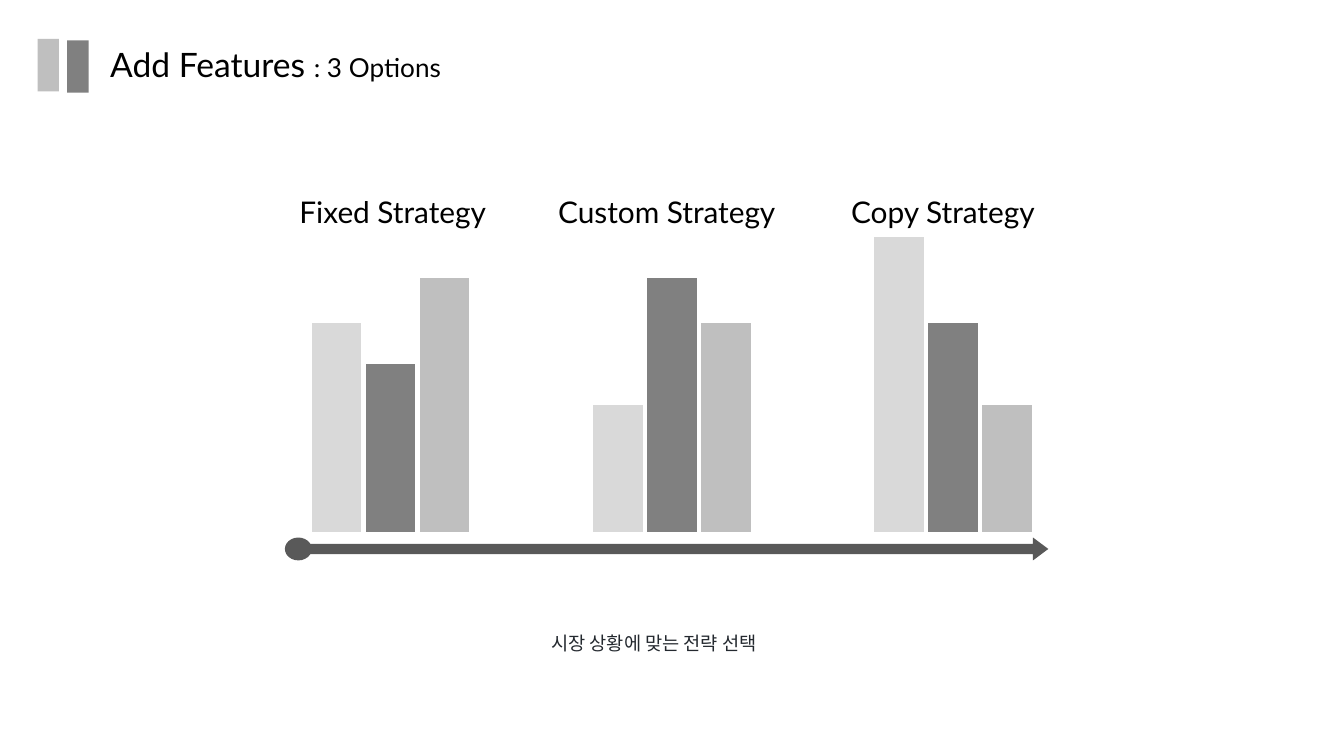
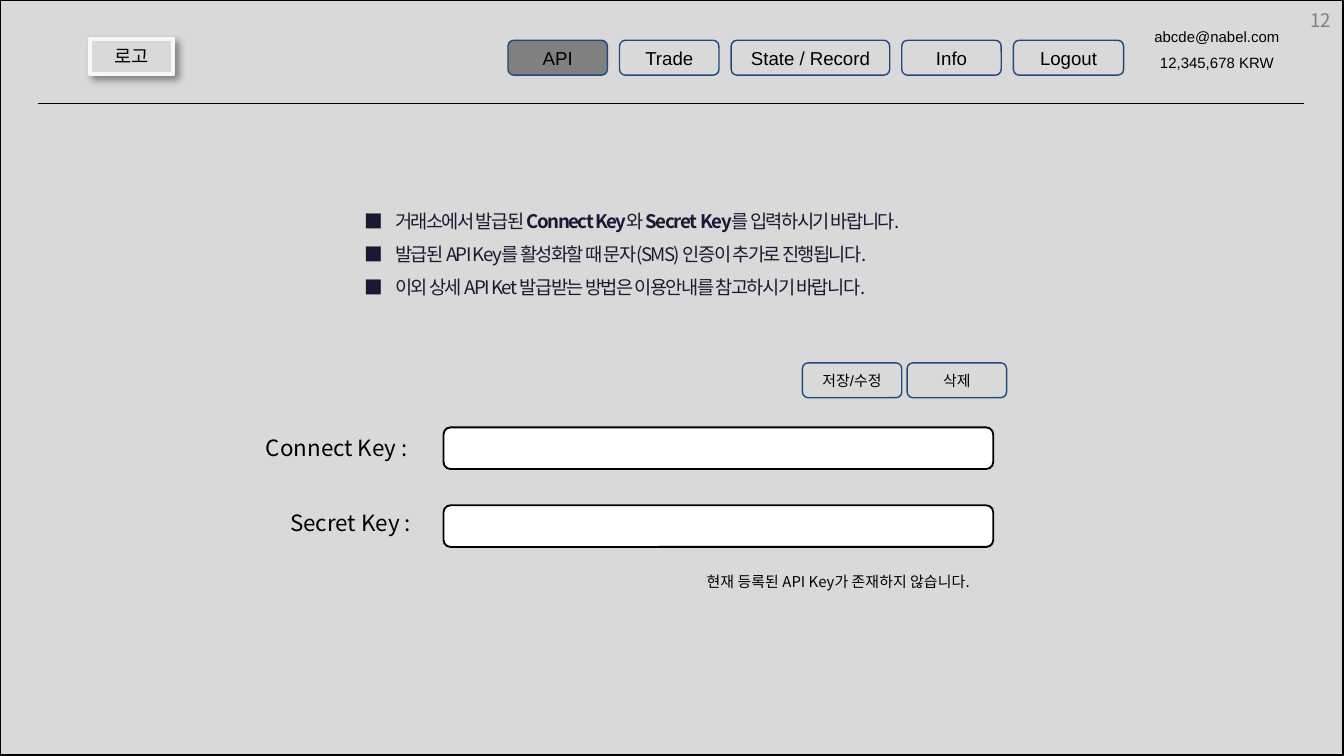
import pptx
import pptx.chart.data
import pptx.dml.color
import pptx.enum.chart
import pptx.enum.shapes
import pptx.enum.text
import pptx.oxml
import pptx.oxml.ns
import pptx.util
from lxml import etree

Inches = pptx.util.Inches
Pt = pptx.util.Pt
RGBColor = pptx.dml.color.RGBColor
SHAPE = pptx.enum.shapes.MSO_SHAPE
ALIGN = pptx.enum.text.PP_ALIGN
ANCHOR = pptx.enum.text.MSO_ANCHOR
AUTO_SIZE = pptx.enum.text.MSO_AUTO_SIZE
qn = pptx.oxml.ns.qn

BLACK = RGBColor(0x00, 0x00, 0x00)
WHITE = RGBColor(0xFF, 0xFF, 0xFF)
LIGHT = RGBColor(0xD9, 0xD9, 0xD9)
SILVER = RGBColor(0xBF, 0xBF, 0xBF)
GRAY = RGBColor(0x80, 0x80, 0x80)
CHARCOAL = RGBColor(0x59, 0x59, 0x59)
INK = RGBColor(0x24, 0x29, 0x2F)
NOTICE = RGBColor(0x19, 0x19, 0x33)
NAVY = RGBColor(0x1F, 0x49, 0x7D)
IVORY = RGBColor(0xF8, 0xF7, 0xF3)

LATO = "Lato"
ARIAL = "Arial"
KOREAN = "Noto Sans CJK KR"
SLIDE_WIDTH = 10
SLIDE_HEIGHT = SLIDE_WIDTH * 9 / 16


def place(shape, left, top, width, height):
    shape.left, shape.top = Inches(left), Inches(top)
    shape.width, shape.height = Inches(width), Inches(height)


def format_run(run, size, font, color, bold=None):
    run.font.size = Pt(size)
    run.font.name = font
    run.font.color.rgb = color
    run.font.bold = bold
    properties = run._r.get_or_add_rPr()
    properties.set("kern", "0")
    etree.SubElement(properties, qn("a:ea")).set("typeface", KOREAN)


def write(shape, text, size, font, color=BLACK, align=ALIGN.LEFT, spacing=None):
    shape.text_frame.text = text
    for paragraph in shape.text_frame.paragraphs:
        paragraph.alignment = align
        paragraph.line_spacing = spacing
        for run in paragraph.runs:
            format_run(run, size, font, color)


def add_text(slide, box, text, size, font, color=BLACK, align=ALIGN.LEFT, wrap=True):
    shape = slide.shapes.add_textbox(*map(Inches, box))
    shape.text_frame.word_wrap = wrap
    shape.text_frame.auto_size = AUTO_SIZE.SHAPE_TO_FIT_TEXT
    write(shape, text, size, font, color, align)
    return shape


def add_block(shapes, kind, box, fill, line=None, line_width=0.75):
    shape = shapes.add_shape(kind, *map(Inches, box))
    shape.shadow.inherit = False
    shape.fill.solid()
    shape.fill.fore_color.rgb = fill
    if line is None:
        shape.line.fill.background()
    else:
        shape.line.color.rgb = line
        shape.line.width = Pt(line_width)
    return shape


def add_label_block(slide, box, text, size, fill=LIGHT, line=NAVY, spacing=None):
    shape = add_block(slide.shapes, SHAPE.ROUNDED_RECTANGLE, box, fill, line)
    frame = shape.text_frame
    frame.margin_left = frame.margin_right = Inches(0.1)
    frame.margin_top = frame.margin_bottom = Inches(0.1)
    frame.vertical_anchor = ANCHOR.MIDDLE
    write(shape, text, size, ARIAL, align=ALIGN.CENTER, spacing=spacing)
    return shape


def add_heading(slide, left, top):
    add_block(slide.shapes, SHAPE.RECTANGLE, (left, top, 0.16, 0.39), SILVER)
    add_block(slide.shapes, SHAPE.RECTANGLE, (left + 0.22, top + 0.01, 0.16, 0.39), GRAY)
    title = slide.shapes.title
    place(title, left + 0.44, top - 0.01, 5, 0.4)
    frame = title.text_frame
    frame.vertical_anchor = ANCHOR.TOP
    frame.auto_size = AUTO_SIZE.SHAPE_TO_FIT_TEXT
    paragraph = frame.paragraphs[0]
    paragraph.alignment = ALIGN.LEFT
    for text, size in (("Add Features ", 18), (": 3 Options", 14)):
        run = paragraph.add_run()
        run.text = text
        format_run(run, size, LATO, BLACK)


def set_plot_area(chart, x, y, width, height):
    plot_area = chart._chartSpace.chart.plotArea
    for old_layout in plot_area.findall(qn("c:layout")):
        plot_area.remove(old_layout)
    layout = etree.Element(qn("c:layout"))
    manual = etree.SubElement(layout, qn("c:manualLayout"))
    settings = (("layoutTarget", "inner"), ("xMode", "edge"), ("yMode", "edge"),
                ("x", x), ("y", y), ("w", width), ("h", height))
    for name, value in settings:
        etree.SubElement(manual, qn("c:" + name)).set("val", str(value))
    plot_area.insert(0, layout)


def add_strategy_chart(slide, left, top):
    data = pptx.chart.data.CategoryChartData()
    data.categories = ["1", "2", "3"]
    data.add_series("Series 1", (71, 43, 100))
    data.add_series("Series 2", (57, 86, 71))
    data.add_series("Series 3", (86, 71, 43))
    frame = slide.shapes.add_chart(
        pptx.enum.chart.XL_CHART_TYPE.COLUMN_CLUSTERED,
        Inches(left), Inches(top), Inches(6.54), Inches(2.61), data)
    chart = frame.chart
    chart.has_legend = False
    chart.has_title = False
    chart.font.size = Pt(10)
    chart.font.name = KOREAN
    chart.font.color.rgb = BLACK
    chart.value_axis.has_major_gridlines = False
    chart.value_axis.minimum_scale = 0
    chart.value_axis.maximum_scale = 100
    chart.value_axis.visible = False
    chart.category_axis.visible = False
    plot = chart.plots[0]
    plot.gap_width = 250
    plot.overlap = -9
    plot.vary_by_categories = False
    for series, color in zip(plot.series, (LIGHT, GRAY, SILVER)):
        series.format.fill.solid()
        series.format.fill.fore_color.rgb = color
    set_plot_area(chart, 0.02, 0.14, 0.96, 0.84)


def add_timeline(slide, left, top):
    group = slide.shapes.add_group_shape()
    arrow = add_block(group.shapes, SHAPE.RIGHT_ARROW, (left + 0.13, top, 5.55, 0.17), CHARCOAL)
    arrow.adjustments[0] = 0.45
    arrow.adjustments[1] = 0.67
    add_block(group.shapes, SHAPE.OVAL, (left, top, 0.2, 0.17), CHARCOAL)


def build_strategy_slide(presentation):
    slide = presentation.slides.add_slide(presentation.slide_layouts[5])
    add_strategy_chart(slide, 1.73, 1.4)
    add_timeline(slide, 2.12, 4)
    add_heading(slide, 0.28, 0.29)
    strategies = (("Fixed Strategy", 1.64), ("Custom Strategy", 1.89), ("Copy Strategy", 1.63))
    for index, (name, width) in enumerate(strategies):
        center = 2.95 + 2.05 * index
        add_text(slide, (center - width / 2, 1.39, width, 0.37), name, 16, LATO, wrap=False)
    add_text(slide, (2.72, 4.65, 4.29, 0.27), "시장 상황에 맞는 전략 선택",
             10, KOREAN, INK, ALIGN.CENTER)


def add_logo_box(slide, left, top):
    logo = add_block(slide.shapes, SHAPE.RECTANGLE, (left, top, 0.62, 0.26), LIGHT, IVORY, 2)
    logo.text_frame.vertical_anchor = ANCHOR.MIDDLE
    write(logo, "로고", 10, KOREAN, align=ALIGN.CENTER)
    effects = logo._element.spPr.find(qn("a:effectLst"))
    shadow = etree.SubElement(effects, qn("a:outerShdw"), blurRad=str(Pt(4)),
                              dist=str(Pt(3)), dir="2700000", algn="tl", rotWithShape="0")
    color = etree.SubElement(shadow, qn("a:srgbClr"), val=str(BLACK))
    etree.SubElement(color, qn("a:alpha"), val="40000")


def add_navigation(slide, left, top, active):
    items = (("API", 0.74), ("Trade", 0.74), ("State / Record", 1.18), ("Info", 0.74), ("Logout", 0.82))
    for name, width in items:
        fill = GRAY if name == active else LIGHT
        add_label_block(slide, (left, top, width, 0.26), name, 10, fill)
        left += width + 0.09


def add_header(slide, left, top):
    add_logo_box(slide, left + 0.39, top)
    add_navigation(slide, left + 3.5, top + 0.01, "API")
    add_label_block(slide, (left + 8.13, top - 0.23, 1.29, 0.55),
                    "abcde@nabel.com\n12,345,678 KRW", 8, line=None, spacing=1.5)
    rule = slide.shapes.add_connector(
        pptx.enum.shapes.MSO_CONNECTOR.STRAIGHT,
        Inches(left), Inches(top + 0.48), Inches(left + 9.42), Inches(top + 0.48))
    rule.line.color.rgb = BLACK
    rule.line.width = Pt(0.75)
    etree.SubElement(rule._element.spPr, qn("a:effectLst"))


def set_square_bullet(paragraph, indent):
    properties = paragraph._p.get_or_add_pPr()
    properties.set("marL", str(Inches(indent)))
    properties.set("indent", str(-Inches(indent)))
    color = etree.SubElement(properties, qn("a:buClr"))
    etree.SubElement(color, qn("a:srgbClr"), val=str(NOTICE))
    etree.SubElement(properties, qn("a:buFont"), typeface=KOREAN)
    etree.SubElement(properties, qn("a:buChar"), char="■")


def add_notices(slide, left, top):
    notices = (
        (("거래소에서 발급된 ", False), ("Connect Key", True), ("와 ", False),
         ("Secret  Key", True), ("를 입력하시기 바랍니다.", False)),
        (("발급된 API Key를 활성화할 때 문자(SMS) 인증이 추가로 진행됩니다.", False),),
        (("이외 상세 API Ket 발급받는 방법은 이용안내를 참고하시기 바랍니다.", False),),
    )
    body = slide.placeholders[1]
    place(body, left, top, 6.35, 0.79)
    frame = body.text_frame
    frame.auto_size = AUTO_SIZE.SHAPE_TO_FIT_TEXT
    for index, parts in enumerate(notices):
        paragraph = frame.add_paragraph() if index else frame.paragraphs[0]
        paragraph.line_spacing = 1.23
        paragraph.space_before = Pt(2.9)
        set_square_bullet(paragraph, 0.23)
        for text, bold in parts:
            run = paragraph.add_run()
            run.text = text
            format_run(run, 10, KOREAN, NOTICE, bold)
            run._r.get_or_add_rPr().set("spc", "-80")


def add_key_form(slide, left, top):
    for index, name in enumerate(("저장/수정", "삭제")):
        add_label_block(slide, (left + 4.09 + 0.78 * index, top, 0.74, 0.26), name, 8)
    fields = (("Connect Key :", 0, 0.48), ("Secret Key :", 0.18, 1.04))
    for index, (name, offset, label_top) in enumerate(fields):
        add_text(slide, (left + offset, top + label_top, 1.29, 0.3), name, 12, KOREAN)
        add_block(slide.shapes, SHAPE.ROUNDED_RECTANGLE,
                  (left + 1.42, top + 0.48 + 0.58 * index, 4.09, 0.31), WHITE, BLACK, 1)
    add_text(slide, (left + 3.28, top + 1.51, 2.47, 0.24),
             "현재 등록된 API Key가 존재하지 않습니다.", 8, KOREAN)


def build_api_slide(presentation):
    slide = presentation.slides.add_slide(presentation.slide_layouts[1])
    title = slide.shapes.title._element
    title.getparent().remove(title)
    backdrop = add_block(slide.shapes, SHAPE.RECTANGLE, (0, 0, SLIDE_WIDTH, SLIDE_HEIGHT), LIGHT, BLACK, 1.5)
    slide.shapes._spTree.insert(2, backdrop._element)
    number = add_text(slide, (9.4, 0, 0.6, 0.3), "12", 10, KOREAN, GRAY, ALIGN.RIGHT)
    number.text_frame.auto_size = AUTO_SIZE.NONE
    number.text_frame.vertical_anchor = ANCHOR.MIDDLE
    add_header(slide, 0.28, 0.29)
    add_notices(slide, 2.61, 1.47)
    add_key_form(slide, 1.88, 2.7)


def main():
    presentation = pptx.Presentation()
    presentation.slide_width = Inches(SLIDE_WIDTH)
    presentation.slide_height = Inches(SLIDE_HEIGHT)
    build_strategy_slide(presentation)
    build_api_slide(presentation)
    presentation.save("out.pptx")


if __name__ == "__main__":
    main()
